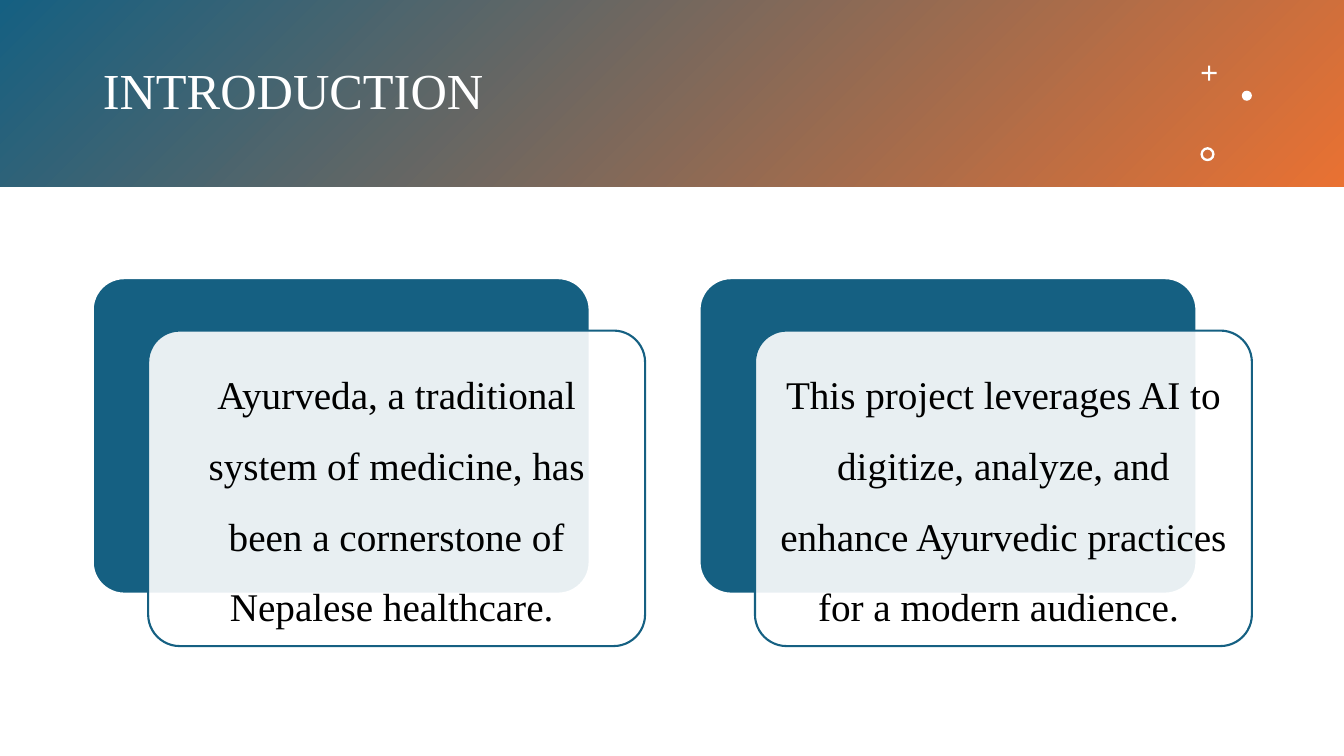
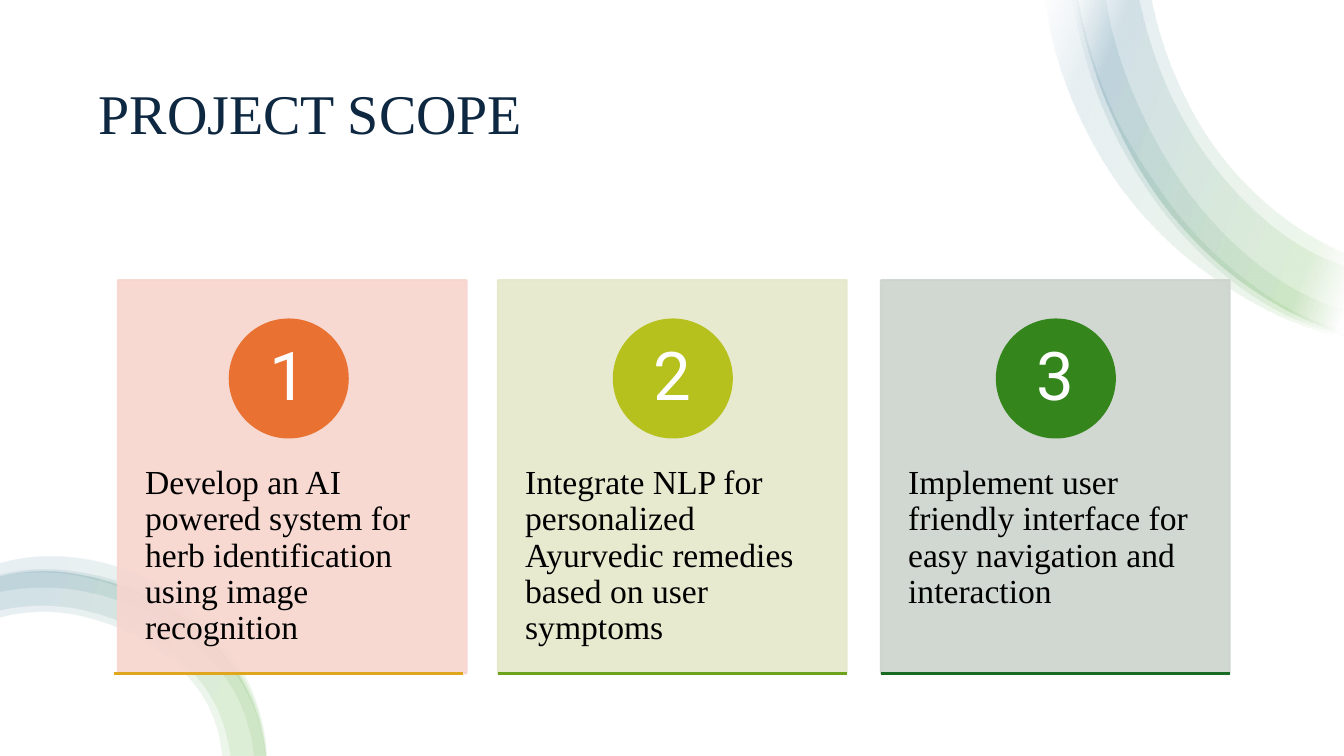
import math
from dataclasses import dataclass
from typing import Any

import pptx
import pptx.dml.color
import pptx.enum.shapes
import pptx.enum.text
import pptx.oxml
import pptx.oxml.ns
import pptx.util

PX = 9144  # EMU per px, 100 px to the inch
PAGE_WIDTH, PAGE_HEIGHT = 1334, 750
TITLE_ONLY = 5
SERIF, SANS = "Times New Roman", "Roboto"

COLOURS = {
    "white": "FFFFFF", "black": "000000", "navy": "0E2841", "teal": "156082",
    "orange": "E97132", "leaf": "4EA72E", "lime": "B7C11E", "green": "34861C",
    "pink": "F7D5CE", "pale lime": "E5E8CA", "grey": "CCD4CD",
    "amber": "E0A61D", "olive": "6BA31D", "forest": "196B24",
}

SHAPES = pptx.enum.shapes.MSO_SHAPE
ALIGN = pptx.enum.text.PP_ALIGN
ANCHOR = pptx.enum.text.MSO_ANCHOR

Box = tuple[int, int, int, int]
Points = list[tuple[int, int]]
Stops = list[tuple[int, str, int]]

BAND_STOPS = [(0, "teal", 100), (100, "orange", 100)]
FADED_STOPS = [(2, "white", 10), (16, "leaf", 10), (85, "teal", 10), (100, "white", 10)]
FULL_STOPS = [(16, "leaf", 10), (85, "teal", 10)]


@dataclass(frozen=True)
class TextStyle:
    colour: str
    size: int
    font: str = SERIF
    align: Any = ALIGN.LEFT
    anchor: Any = ANCHOR.MIDDLE
    spacing: float = 0.9
    margins: Box = (10, 5, 10, 5)


@dataclass(frozen=True)
class Ribbon:
    stops: Stops
    outer: Points
    inner: Points


@dataclass(frozen=True)
class ScopeItem:
    text: str
    panel: str
    badge: str
    rule: str
    panel_shift: int = 0


CARD_TEXT = TextStyle("black", 28, align=ALIGN.CENTER, spacing=1.5, margins=(12, 12, 12, 12))
SCOPE_TEXT = TextStyle("black", 24, anchor=ANCHOR.TOP, margins=(27, 184, 27, 44))
BADGE_TEXT = TextStyle("white", 48, font=SANS, align=ALIGN.CENTER, margins=(9, 1, 9, 1))

# The last space of each text takes part in the centring
CARDS = [
    "Ayurveda, a traditional system of medicine, has been a cornerstone of Nepalese healthcare. ",
    "This project leverages AI to digitize, analyze, and enhance Ayurvedic practices "
    "for a modern audience. ",
]

SCOPE = [
    ScopeItem("Develop an AI powered system for herb identification using image recognition",
              "pink", "orange", "amber", 4),
    ScopeItem("Integrate NLP for personalized Ayurvedic remedies based on user symptoms",
              "pale lime", "lime", "olive"),
    ScopeItem("Implement user friendly interface for easy navigation and interaction",
              "grey", "green", "forest"),
]

TOP_EDGE = [(1067, -9), (1100, 107), (1152, 200), (1224, 274), (1333, 332)]
LOW_EDGE = [(0, 572), (40, 567), (117, 580), (185, 616), (236, 669), (263, 750)]

RIBBONS = [
    # Top right corner
    Ribbon(FADED_STOPS,
           [(1036, -9), (1041, 26), (1078, 131), (1116, 192), (1165, 245), (1221, 287),
            (1282, 319), (1333, 335)],
           [(1333, 328), (1286, 310), (1230, 273), (1181, 227), (1140, 173), (1106, 115),
            (1082, 52), (1068, -9)]),
    Ribbon(FADED_STOPS, TOP_EDGE,
           [(1333, 251), (1307, 238), (1219, 164), (1158, 55), (1141, -9)]),
    Ribbon(FADED_STOPS,
           [(1063, -9), (1068, 20), (1099, 119), (1132, 179), (1173, 233), (1279, 314),
            (1333, 333)],
           [(1333, 308), (1290, 290), (1239, 255), (1195, 211), (1129, 104), (1107, 44),
            (1096, -9)]),
    Ribbon(FADED_STOPS, TOP_EDGE,
           [(1333, 264), (1301, 250), (1210, 172), (1147, 59), (1129, -9)]),
    # Bottom left corner
    Ribbon(FULL_STOPS, LOW_EDGE,
           [(220, 750), (206, 700), (166, 652), (107, 619), (40, 607), (0, 613)]),
    Ribbon(FULL_STOPS, LOW_EDGE,
           [(228, 750), (212, 697), (170, 647), (109, 613), (40, 601), (0, 606)]),
    Ribbon(FULL_STOPS,
           [(0, 571), (31, 566), (69, 567), (142, 587), (203, 627), (247, 685), (263, 750)],
           [(251, 750), (234, 691), (192, 639), (134, 603), (67, 585), (33, 584), (0, 588)]),
    Ribbon(FULL_STOPS,
           [(0, 559), (31, 553), (71, 553), (148, 575), (210, 623), (250, 687), (264, 750)],
           [(262, 750), (247, 693), (225, 658), (171, 609), (105, 578), (32, 568), (0, 572)]),
]


def rgb(name: str) -> pptx.dml.color.RGBColor:
    return pptx.dml.color.RGBColor.from_string(COLOURS[name])


def drawing_xml(tag: str, attributes: str = "", content: str = "") -> Any:
    names = pptx.oxml.ns.nsdecls("a")
    return pptx.oxml.parse_xml(f"<a:{tag} {names} {attributes}>{content}</a:{tag}>")


def set_format(target: Any, values: dict[str, Any]) -> None:
    for name, value in values.items():
        setattr(target, name, value)


def write_text(shape: Any, text: str, style: TextStyle) -> None:
    frame = shape.text_frame
    sides = ("margin_left", "margin_top", "margin_right", "margin_bottom")
    set_format(frame, {
        "word_wrap": True, "auto_size": pptx.enum.text.MSO_AUTO_SIZE.NONE,
        "vertical_anchor": style.anchor,
        **{side: length * PX for side, length in zip(sides, style.margins)},
    })
    para = frame.paragraphs[0]
    set_format(para, {"alignment": style.align, "line_spacing": style.spacing})
    span = para.add_run()
    span.text = text
    set_format(span.font, {"name": style.font, "size": pptx.util.Pt(style.size)})
    span.font.color.rgb = rgb(style.colour)


def add_title(page: Any, text: str, box: Box, style: TextStyle) -> None:
    title = page.shapes.title
    set_format(title, {name: length * PX for name, length
                       in zip(("left", "top", "width", "height"), box)})
    write_text(title, text, style)
    page.shapes._spTree.append(title._element)  # in front of what is drawn so far


def set_line(line: Any, colour: str | None, width: float = 1.5) -> None:
    if colour is None:
        line.fill.background()
    else:
        line.color.rgb = rgb(colour)
        line.width = pptx.util.Pt(width)


def add_figure(page: Any, kind: Any, box: Box, fill: str, line: str | None = None,
               adjustment: float | None = None) -> Any:
    shape = page.shapes.add_shape(kind, *(length * PX for length in box))
    shape.shadow.inherit = False
    shape.fill.solid()
    shape.fill.fore_color.rgb = rgb(fill)
    set_line(shape.line, line)
    if adjustment is not None:
        shape.adjustments[0] = adjustment
    return shape


def set_opacity(shape: Any, percent: int, *parts: str) -> None:
    for part in parts:
        colour = shape._element.spPr.find(f"{part}/a:srgbClr", pptx.oxml.ns._nsmap)
        colour.append(drawing_xml("alpha", f'val="{percent * 1000}"'))


def set_gradient(shape: Any, stops: Stops, angle: int) -> None:
    marks = "".join(
        f'<a:gs pos="{position * 1000}"><a:srgbClr val="{COLOURS[colour]}">'
        f'<a:alpha val="{opacity * 1000}"/></a:srgbClr></a:gs>'
        for position, colour, opacity in stops)
    gradient = drawing_xml(
        "gradFill", 'rotWithShape="1"',
        f'<a:gsLst>{marks}</a:gsLst><a:lin ang="{angle * 60000}" scaled="0"/>')
    shape.fill.background()
    properties = shape._element.spPr
    properties.replace(properties.find(pptx.oxml.ns.qn("a:noFill")), gradient)


def add_rule(page: Any, left: int, top: int, width: int, colour: str) -> None:
    rule = page.shapes.add_connector(
        pptx.enum.shapes.MSO_CONNECTOR.STRAIGHT,
        left * PX, top * PX, (left + width) * PX, top * PX)
    set_line(rule.line, colour, 2)
    rule._element.spPr.append(drawing_xml("effectLst"))


def curve_slopes(values: list[int], chords: list[float]) -> list[float]:
    """Slope at each point of a curve through the values."""
    steps = [(end - start) / chord for start, end, chord in zip(values, values[1:], chords)]
    inner = [(a * after + b * before) / (before + after)
             for a, b, before, after in zip(steps, steps[1:], chords, chords[1:])]
    return [2 * steps[0] - inner[0], *inner, 2 * steps[-1] - inner[-1]]


def curve_points(points: Points) -> list[tuple[int, int]]:
    """The points in EMU, with two control points between each pair."""
    chords = [math.dist(start, end) for start, end in zip(points, points[1:])]
    slopes = list(zip(*(curve_slopes(list(axis), chords) for axis in zip(*points))))
    result = [(points[0][0] * PX, points[0][1] * PX)]
    for index, chord in enumerate(chords):
        start, end = points[index], points[index + 1]
        first = [p + s * chord / 3 for p, s in zip(start, slopes[index])]
        second = [p - s * chord / 3 for p, s in zip(end, slopes[index + 1])]
        result += [(round(x * PX), round(y * PX)) for x, y in (first, second, end)]
    return result


def add_ribbon(page: Any, ribbon: Ribbon) -> None:
    outer, inner = curve_points(ribbon.outer), curve_points(ribbon.inner)
    builder = page.shapes.build_freeform(*outer[0], scale=1.0)
    builder.add_line_segments(outer[1:] + inner, close=True)
    shape = builder.convert_to_shape()

    # Join each two control points and their end point into one curve
    lines = list(shape._element.iter(pptx.oxml.ns.qn("a:lnTo")))
    joint = len(outer) - 1
    for edge in (lines[:joint], lines[joint + 1:]):
        for index in range(0, len(edge), 3):
            curve = drawing_xml("cubicBezTo")
            edge[index].addprevious(curve)
            for line in edge[index:index + 3]:
                curve.append(line[0])
                line.getparent().remove(line)

    shape.shadow.inherit = False
    set_line(shape.line, None)
    set_gradient(shape, ribbon.stops, 200)


def build_introduction(deck: Any) -> None:
    page = deck.slides.add_slide(deck.slide_layouts[TITLE_ONLY])

    # Title band with its ornaments
    band = add_figure(page, SHAPES.RECTANGLE, (0, 0, PAGE_WIDTH, 185), "teal")
    set_gradient(band, BAND_STOPS, 45)
    add_title(page, "INTRODUCTION", (92, 33, 1075, 119), TextStyle("white", 36))
    add_figure(page, SHAPES.CROSS, (1192, 65, 15, 15), "white", adjustment=0.43)
    add_figure(page, SHAPES.OVAL, (1232, 90, 10, 10), "white")
    add_figure(page, SHAPES.DONUT, (1191, 146, 14, 14), "white", adjustment=0.17)

    # Cards, each in front of a solid backing
    width, height, pitch = 493, 313, 602
    for index, text in enumerate(CARDS):
        left, top = 92 + index * pitch, 276
        add_figure(page, SHAPES.ROUNDED_RECTANGLE, (left, top, width, height),
                   "teal", "white", 0.1)
        card = add_figure(page, SHAPES.ROUNDED_RECTANGLE,
                          (left + 55, top + 52, width, height), "white", "teal", 0.1)
        set_opacity(card, 90, "a:solidFill")
        write_text(card, text, CARD_TEXT)


def build_scope(deck: Any) -> None:
    page = deck.slides.add_slide(deck.slide_layouts[TITLE_ONLY])
    add_figure(page, SHAPES.RECTANGLE, (0, 0, PAGE_WIDTH, PAGE_HEIGHT), "white")
    add_title(page, "PROJECT SCOPE", (88, 50, 1157, 130), TextStyle("navy", 40))
    for ribbon in RIBBONS:
        add_ribbon(page, ribbon)

    # Numbered panels, spread evenly from the first to the last
    first, last, top, width, height = 113, 874, 278, 346, 390
    for index, item in enumerate(SCOPE):
        left = first + math.ceil((last - first) * index / (len(SCOPE) - 1))
        panel = add_figure(page, SHAPES.RECTANGLE,
                           (left + item.panel_shift, top, width, height),
                           item.panel, item.panel)
        set_opacity(panel, 90, "a:solidFill", "a:ln/a:solidFill")
        write_text(panel, item.text, SCOPE_TEXT)
        badge = add_figure(page, SHAPES.OVAL, (left + 115, top + 39, 117, 117),
                           item.badge, item.badge)
        write_text(badge, str(index + 1), BADGE_TEXT)
        add_rule(page, left, top + height, width, item.rule)


def main() -> None:
    deck = pptx.Presentation()
    height = PAGE_HEIGHT * PX
    set_format(deck, {"slide_width": height * 16 // 9, "slide_height": height})
    build_introduction(deck)
    build_scope(deck)
    deck.save("out.pptx")


if __name__ == "__main__":
    main()
